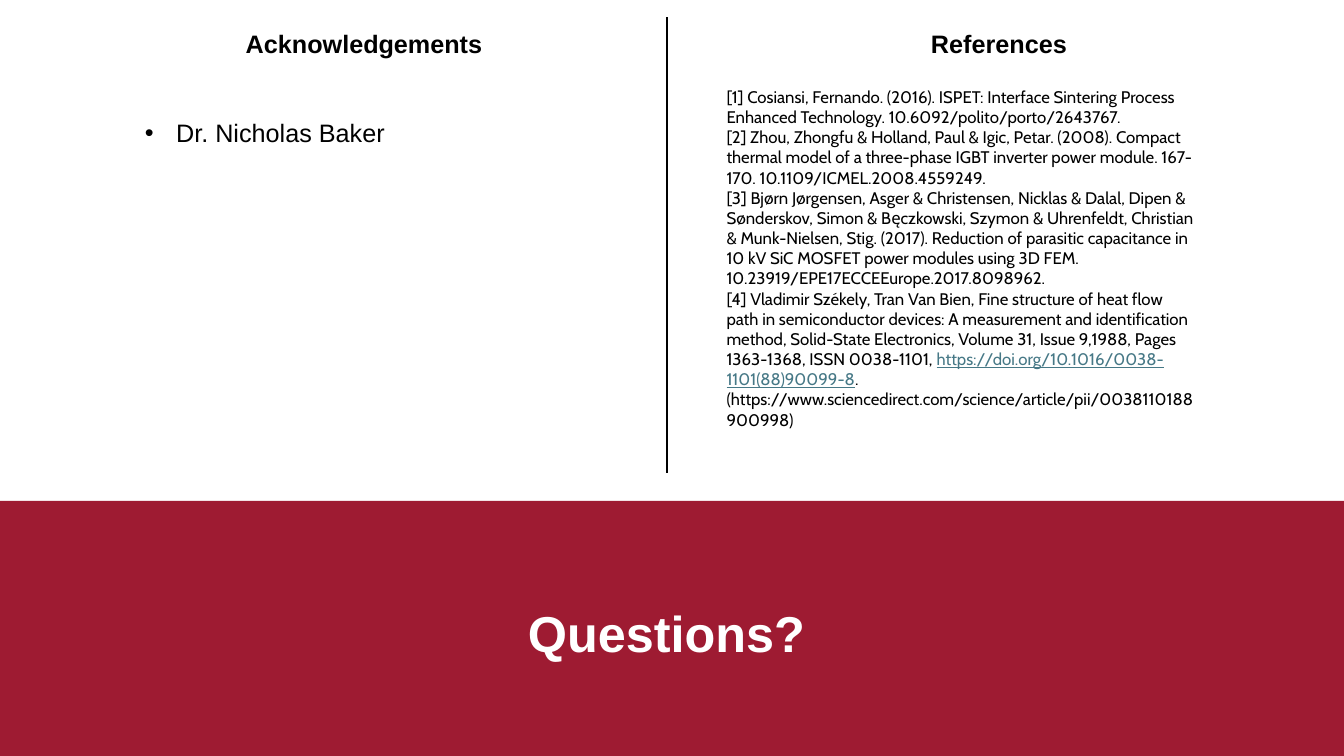
from lxml.etree import SubElement
from pptx import Presentation
from pptx.dml.color import RGBColor
from pptx.enum.shapes import MSO_CONNECTOR as Wire, MSO_SHAPE as Form
from pptx.enum.text import MSO_AUTO_SIZE as Fit, PP_ALIGN as Align
from pptx.oxml.ns import qn
from pptx.util import Cm, Pt

BLACK = RGBColor(0x00, 0x00, 0x00)
WHITE = RGBColor(0xFF, 0xFF, 0xFF)
RED = RGBColor(0x9E, 0x1B, 0x32)
TEAL = RGBColor(0x46, 0x78, 0x86)

BODY = {"name": "Arial", "size": Pt(18)}
HEAD = {**BODY, "bold": True}
CLOSE = {**HEAD, "size": Pt(36)}
CITE = {"name": "Cabin", "size": Pt(12)}
LINK = {**CITE, "underline": True}

REFS = [
    "[1] Cosiansi, Fernando. (2016). ISPET: Interface Sintering Process Enhanced Technology. "
    "10.6092/polito/porto/2643767.",
    "[2] Zhou, Zhongfu & Holland, Paul & Igic, Petar. (2008). Compact thermal model of a "
    "three-phase IGBT inverter power module. 167-170. 10.1109/ICMEL.2008.4559249.",
    "[3] Bjørn Jørgensen, Asger & Christensen, Nicklas & Dalal, Dipen & Sønderskov, Simon & "
    "Bęczkowski, Szymon & Uhrenfeldt, Christian & Munk-Nielsen, Stig. (2017). Reduction of "
    "parasitic capacitance in 10 kV SiC MOSFET power modules using 3D FEM. "
    "10.23919/EPE17ECCEEurope.2017.8098962.",
    "[4] Vladimir Székely, Tran Van Bien, Fine structure of heat flow path in semiconductor "
    "devices: A measurement and identification method, Solid-State Electronics, Volume 31, "
    "Issue 9,1988, Pages 1363-1368, ISSN 0038-1101, ",
]
DOI = "https://doi.org/10.1016/0038-1101(88)90099-8"
TAIL = ". (https://www.sciencedirect.com/science/article/pii/0038110188900998)"


class Page:
    """Hold the style and the slide, and draw each kind of element."""

    def __init__(self, deck):
        self.slide = deck.slides.add_slide(deck.slide_layouts[6])
        self.shapes = self.slide.shapes

    def band(self, left, top, wide, high, fill):
        """Draw a plain filled rectangle."""
        box = self.shapes.add_shape(Form.RECTANGLE, Cm(left), Cm(top), Cm(wide), Cm(high))
        box.shadow.inherit = False
        box.fill.solid()
        box.fill.fore_color.rgb = fill
        box.line.fill.background()

    def rule(self, left, top, end):
        """Draw a vertical line."""
        line = self.shapes.add_connector(Wire.STRAIGHT, Cm(left), Cm(top), Cm(left), Cm(end))
        line.line.color.rgb = BLACK
        line.line.width = Pt(1.5)
        SubElement(line._element.spPr, qn("a:effectLst"))

    def run(self, para, text, style, color=BLACK):
        """Add a styled run to a paragraph."""
        run = para.add_run()
        run.text = text
        for key, value in style.items():
            setattr(run.font, key, value)
        run.font.color.rgb = color

    def text(self, left, top, wide, high, lines, style, color=BLACK, align=Align.LEFT):
        """Add a text box with one paragraph a line and return its paragraphs."""
        frame = self.shapes.add_textbox(Cm(left), Cm(top), Cm(wide), Cm(high)).text_frame
        frame.word_wrap = True
        frame.auto_size = Fit.SHAPE_TO_FIT_TEXT
        for i, line in enumerate(lines):
            para = frame.add_paragraph() if i else frame.paragraphs[0]
            para.alignment = align
            self.run(para, line, style, color)
        return frame.paragraphs

    def bullet(self, para, step):
        """Give a paragraph a bullet with a hanging indent."""
        props = para._p.get_or_add_pPr()
        props.set("marL", str(Cm(step)))
        props.set("indent", str(-Cm(step)))
        SubElement(props, qn("a:buFont"), typeface="Arial")
        SubElement(props, qn("a:buChar"), char="•")


def main():
    """Build the closing slide."""
    deck = Presentation()
    deck.slide_width, deck.slide_height = Cm(33.87), Cm(19.05)
    page = Page(deck)
    page.band(0, 12.62, 33.87, 6.43, RED)
    page.rule(16.8, 0.43, 11.91)
    for left, title in ((3.51, "Acknowledgements"), (19.51, "References")):
        page.text(left, 0.58, 11.33, 1.02, [title], HEAD, align=Align.CENTER)
    thanks = page.text(3.4, 2.84, 9.93, 1.02, ["Dr. Nicholas Baker"], BODY)
    page.bullet(thanks[0], 0.79)
    last = page.text(18.06, 2.06, 12.4, 9.75, REFS, CITE)[-1]
    page.run(last, DOI, LINK, TEAL)
    page.run(last, TAIL, CITE)
    page.text(8.33, 15.06, 16.94, 1.8, ["Questions?"], CLOSE, WHITE, Align.CENTER)
    deck.save("out.pptx")


if __name__ == "__main__":
    main()
